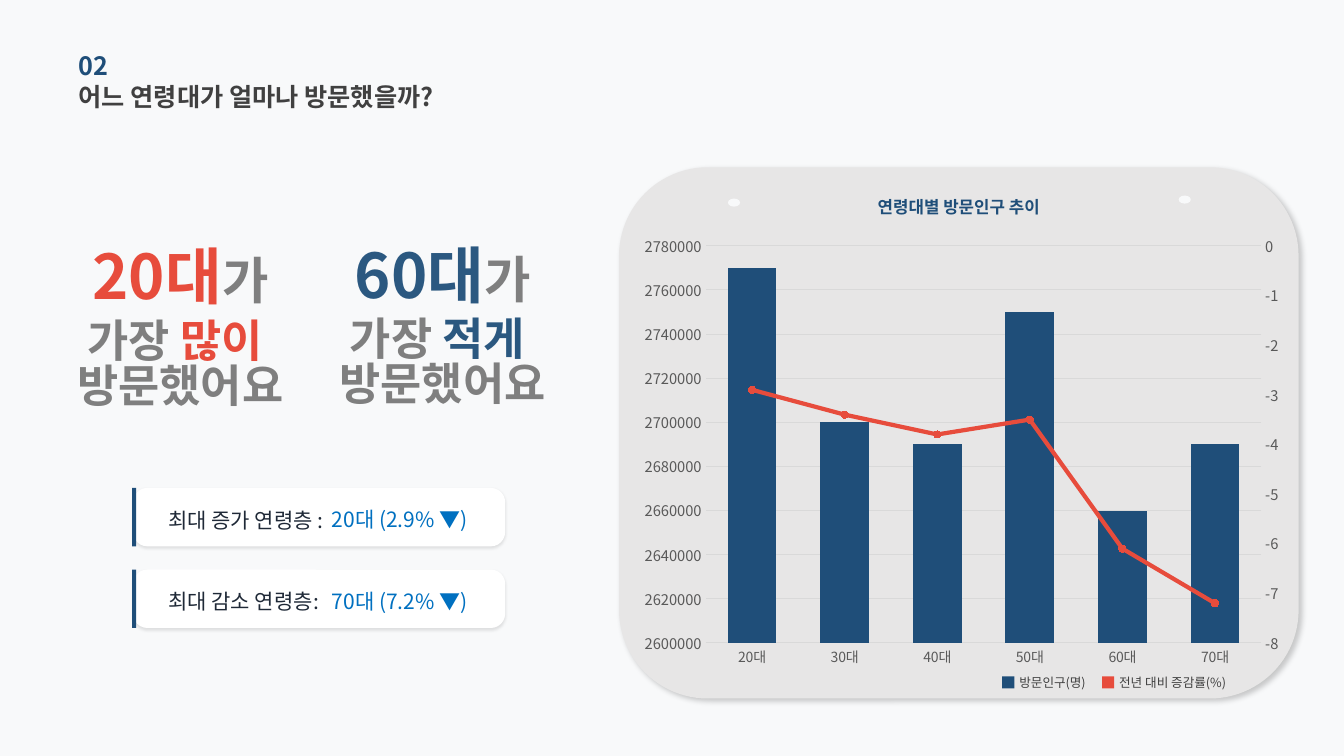
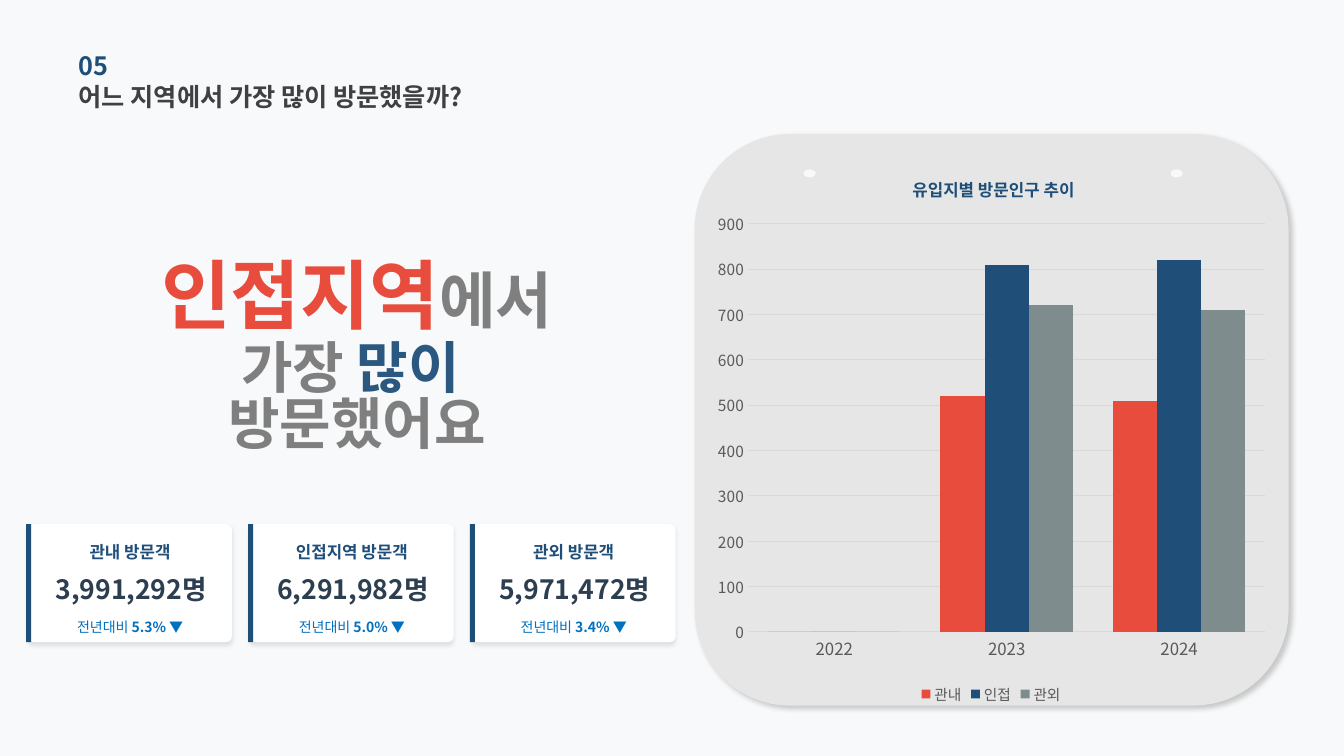
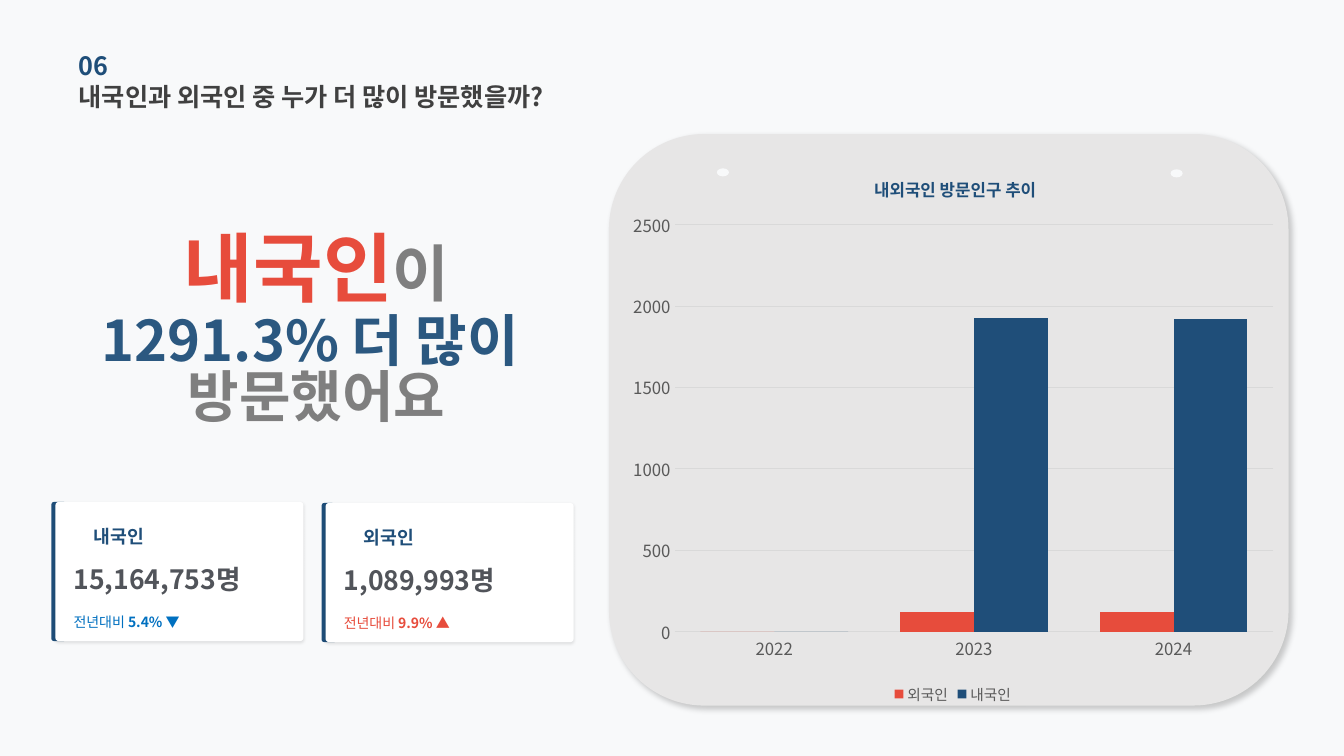
from pptx import Presentation
from pptx.chart.axis import ValueAxis
from pptx.chart.data import CategoryChartData as Data
from pptx.dml.color import RGBColor
from pptx.enum.chart import XL_CHART_TYPE as Kind, XL_LEGEND_POSITION as Spot
from pptx.enum.chart import XL_MARKER_STYLE as Mark, XL_TICK_MARK as Tick
from pptx.enum.shapes import MSO_SHAPE as Form
from pptx.enum.text import MSO_ANCHOR as Anchor, MSO_AUTO_SIZE as Auto, PP_ALIGN as Align
from pptx.oxml import parse_xml
from pptx.oxml.ns import nsdecls, qn
from pptx.util import Cm, Pt

# Shared style
FONT = "Noto Sans CJK KR"
PAPER, PANEL, WHITE = "F8F9FA", "E7E6E6", "FFFFFF"
NAVY, STEEL, RED, BLUE, SLATE = "1F4E79", "2B5880", "E74C3C", "0070C0", "7F8C8D"
DARK, GRAY, AXIS, GRID = "404040", "7F7F7F", "595959", "D9D9D9"
INK, NIGHT, ASH = "1F2937", "2C3E50", "51545A"
LEFT, MID = Align.LEFT, Align.CENTER
DEEP, SOFT, THIN = (20, 4, 3, 45), (10, 3, 2, 90), (10, 2, 1, 90)

# Content: boxes are left, top, width, height in inches
AGE = dict(
    no="02", title="어느 연령대가 얼마나 방문했을까?",
    panel=(6.14, 1.66, 6.74, 5.27), dots=[(7.22, 1.97), (11.69, 1.94)],
    heads=[
        (1.79, 2.5, 2.49, 3.22, [("20대", 44, RED), ("가", 36, GRAY)],
         [[("가장 ", 32, GRAY), ("많이 ", 32, RED)], [("방문했어요", 32, GRAY)]]),
        (4.39, 2.5, 2.48, 3.2, [("60대", 44, STEEL), ("가", 36, GRAY)],
         [[("가장", 32, GRAY), (" 적게 ", 32, STEEL)], [("방문했어요", 32, GRAY)]]),
    ],
    cards=[("최대 증가 연령층 :", "20대 (2.9% ▼)"),
           ("최대 감소 연령층:", "70대 (7.2% ▼)")],
    look=dict(at=(1.32, 4.84, 3.69, 0.58), step=(0, 0.81), round=0.245, shade=THIN,
              edge=(-0.01, 0.04), form=Form.RECTANGLE, align=LEFT,
              rows=[(0.35, 0.21, 1.6, 0.21, 15, INK, False),
                    (1.97, 0.19, 1.72, 0.24, 15, BLUE, False)]),
    chart=dict(at=(6.26, 2.25, 6.63, 4.46), plot=(7, 2.44, 5.51, 3.94), gap=90,
               sizes=(10, 10.5), scale=(2600000, 2780000, 20000),
               cats=["20대", "30대", "40대", "50대", "60대", "70대"],
               series=[("방문인구(명)", NAVY,
                        (2770000, 2700000, 2690000, 2750000, 2660000, 2690000)),
                       ("전년 대비 증감률(%)", RED,
                        (-2.9, -3.4, -3.8, -3.5, -6.1, -7.2))]),
)
AREA = dict(
    no="05", title="어느 지역에서 가장 많이 방문했을까?",
    panel=(6.89, 1.33, 5.89, 5.67), dots=[(7.97, 1.68), (11.61, 1.68)],
    heads=[(3.54, 5.5, 2.67, 3.55, [("인접지역", 54, RED), ("에서", 44, GRAY)],
            [[("가장", 40, GRAY), (" 많이 ", 40, STEEL)], [("방문했어요", 40, GRAY)]])],
    cards=[("관내 방문객", "3,991,292명", ("전년대비 ", "5.3% ▼", BLUE)),
           ("인접지역 방문객", "6,291,982명", ("전년대비 ", "5.0% ▼", BLUE)),
           ("관외 방문객", "5,971,472명", ("전년대비 ", "3.4% ▼", BLUE))],
    look=dict(at=(0.28, 5.2, 2.02, 1.17), step=(2.2, 0), round=0.048, shade=SOFT,
              edge=(-0.02, 0.05), form=Form.RECTANGLE, align=MID,
              rows=[(0, 0.16, 2.02, 0.22, 12, NAVY, True),
                    (0.01, 0.47, 2.02, 0.34, 19, NIGHT, True),
                    (0, 0.92, 2.02, 0.2, 10, BLUE, False)]),
    chart=dict(at=(7, 1.48, 5.66, 5.55), plot=(7.42, 2.22, 5.13, 4.05), gap=90,
               title="유입지별 방문인구 추이", sizes=(12, 11), scale=(0, 900, 100),
               cats=["2022", "2023", "2024"],
               series=[("관내", RED, (0, 520, 510)), ("인접", NAVY, (0, 810, 820)),
                       ("관외", SLATE, (0, 720, 710))]),
)
ORIGIN = dict(
    no="06", title="내국인과 외국인 중 누가 더 많이 방문했을까?",
    panel=(6.04, 1.33, 6.74, 5.67), dots=[(7.11, 1.67), (11.61, 1.68)],
    heads=[(3.14, 5.5, 2.4, 3.28, [("내국인", 54, RED), ("이", 44, GRAY)],
            [[("1291.3% 더 많이 ", 40, STEEL)], [("방문했어요", 40, GRAY)]])],
    cards=[("내국인", "15,164,753명", ("전년대비 ", "5.4% ▼", BLUE)),
           ("외국인", "1,089,993명", ("전년대비 ", "9.9% ▲", RED))],
    look=dict(at=(0.55, 4.98, 2.46, 1.38), step=(2.68, 0.01), round=0.023, shade=THIN,
              edge=(-0.04, 0.15), form=Form.ROUNDED_RECTANGLE, align=LEFT,
              rows=[(0.38, 0.2, 0.8, 0.28, 13, NAVY, True),
                    (0.18, 0.57, 2.2, 0.39, 19, ASH, True),
                    (0.18, 1.08, 2.2, 0.22, 10, BLUE, False)]),
    chart=dict(at=(6.15, 1.48, 6.6, 5.55), plot=(6.69, 2.23, 5.94, 4.04), gap=70,
               title="내외국인 방문인구 추이", sizes=(12, 12), scale=(0, 2500, 500),
               cats=["2022", "2023", "2024"],
               series=[("외국인", RED, (0, 120, 120)), ("내국인", NAVY, (0, 1930, 1920))]),
)


def hue(code):
    return RGBColor.from_string(code)


def inch(box):
    return [Cm(v * 2.54) for v in box]


def fill(part, code):
    part.fill.solid()
    part.fill.fore_color.rgb = hue(code)


def style(font, size, code, bold=False):
    font.name, font.size, font.bold = FONT, Pt(size), bold
    font.color.rgb = hue(code)


def east(root):
    """Use the same font for Korean letters."""
    for latin in list(root.iter(qn("a:latin"))):
        latin.addnext(parse_xml(f'<a:ea {nsdecls("a")} typeface="{FONT}"/>'))


def drop(root, tag):
    for old in root.findall(qn(tag)):
        root.remove(old)


# Text and shapes
def write(shape, lines, align=LEFT, space=None):
    frame = shape.text_frame
    frame.word_wrap, frame.auto_size = True, Auto.NONE
    frame.vertical_anchor = Anchor.MIDDLE
    frame.margin_left = frame.margin_top = frame.margin_right = frame.margin_bottom = 0
    for i, line in enumerate(lines):
        para = frame.add_paragraph() if i else frame.paragraphs[0]
        para.alignment = align
        if space:
            para.line_spacing = space
        for text, size, code, *bold in line:
            run = para.add_run()
            run.text = text
            style(run.font, size, code, bold[0] if bold else True)


def label(slide, box, lines, align=LEFT, space=None):
    write(slide.shapes.add_textbox(*inch(box)), lines, align, space)


def draw(slide, form, box, code, shade=None, curve=None):
    shape = slide.shapes.add_shape(form, *inch(box))
    fill(shape, code)
    shape.line.fill.background()
    shape.shadow.inherit = False
    if curve:
        shape.adjustments[0] = curve
    if shade:
        alpha, blur, dist, turn = shade
        shape.element.spPr.find(qn("a:effectLst")).append(parse_xml(
            f'<a:outerShdw {nsdecls("a")} blurRad="{Pt(blur)}" dist="{Pt(dist)}" '
            f'dir="{turn * 60000}" algn="t" rotWithShape="0"><a:srgbClr val="000000">'
            f'<a:alpha val="{alpha * 1000}"/></a:srgbClr></a:outerShdw>'))


def cards(slide, items, look):
    left, top, wide, high = look["at"]
    shift, thick = look["edge"]
    for i, item in enumerate(items):
        x, y = left + i * look["step"][0], top + i * look["step"][1]
        edge = (look["form"], (x + shift, y, thick, high), NAVY)
        behind = look["form"] == Form.ROUNDED_RECTANGLE
        if behind:
            draw(slide, *edge)
        draw(slide, Form.ROUNDED_RECTANGLE, (x, y, wide, high), WHITE,
             look["shade"], look["round"])
        if not behind:
            draw(slide, *edge)
        for text, (dx, dy, w, h, size, code, bold) in zip(item, look["rows"]):
            if isinstance(text, tuple):
                lead, rate, tint = text
                runs = [(lead, size, tint, False), (rate, size, tint, True)]
            else:
                runs = [(text, size, code, bold)]
            label(slide, (x + dx, y + dy, w, h), [runs], look["align"])


# Charts
def layout(x, y, w=None, h=None):
    inner = '<c:layoutTarget val="inner"/>' if w else ""
    size = f'<c:w val="{w:.4f}"/><c:h val="{h:.4f}"/>' if w else ""
    return parse_xml(
        f'<c:layout {nsdecls("c")}><c:manualLayout>{inner}<c:xMode val="edge"/>'
        f'<c:yMode val="edge"/><c:x val="{x:.4f}"/><c:y val="{y:.4f}"/>{size}'
        f'</c:manualLayout></c:layout>')


def ruler(axis, size, scale=None):
    axis.major_tick_mark = axis.minor_tick_mark = Tick.NONE
    style(axis.tick_labels.font, size, AXIS)
    if scale:
        axis.minimum_scale, axis.maximum_scale, axis.major_unit = scale
        axis.format.line.fill.background()
    else:
        axis.format.line.color.rgb = hue(GRID)
        axis.format.line.width = Pt(0.75)


def trend(chart, code):
    """Turn the second series into a line on a right axis."""
    area = chart.element.chart.plotArea
    bars = area.find(qn("c:barChart"))
    ser = bars.findall(qn("c:ser"))[1]
    drop(ser, "c:invertIfNegative")
    line = parse_xml(
        f'<c:lineChart {nsdecls("c")}><c:grouping val="standard"/><c:varyColors val="0"/>'
        '<c:marker val="1"/><c:axId val="501"/><c:axId val="502"/></c:lineChart>')
    line.insert(2, ser)
    bars.addnext(line)
    base = parse_xml(
        f'<c:catAx {nsdecls("c")}><c:axId val="501"/><c:scaling/><c:delete val="1"/>'
        '<c:axPos val="b"/><c:crossAx val="502"/></c:catAx>')
    right = parse_xml(
        f'<c:valAx {nsdecls("c")}><c:axId val="502"/><c:scaling/><c:delete val="0"/>'
        '<c:axPos val="r"/><c:numFmt formatCode="General" sourceLinked="0"/>'
        '<c:tickLblPos val="nextTo"/><c:crossAx val="501"/><c:crosses val="max"/>'
        '<c:crossBetween val="between"/></c:valAx>')
    area.find(qn("c:valAx")).addnext(base)
    base.addnext(right)
    ruler(ValueAxis(right), 10.5, (-8, 0, 1))
    rate = chart.plots[1].series[0]
    rate.smooth = False
    rate.format.line.color.rgb = hue(code)
    rate.format.line.width = Pt(3)
    rate.marker.style, rate.marker.size = Mark.CIRCLE, 5
    fill(rate.marker.format, code)
    rate.marker.format.line.color.rgb = hue(code)


def graph(slide, info):
    data = Data()
    data.categories = info["cats"]
    for name, _, vals in info["series"]:
        data.add_series(name, vals)
    box = info["at"]
    chart = slide.shapes.add_chart(Kind.COLUMN_CLUSTERED, *inch(box), data).chart
    style(chart.font, 10, AXIS)
    bars = chart.plots[0]
    bars.vary_by_categories = False
    bars.gap_width = info["gap"]
    for ser, (_, code, _) in zip(bars.series, info["series"]):
        fill(ser.format, code)
    ruler(chart.category_axis, info["sizes"][0])
    ruler(chart.value_axis, info["sizes"][1], info["scale"])
    grid = chart.value_axis.major_gridlines.format.line
    grid.color.rgb, grid.width = hue(GRID), Pt(0.75)

    area = chart.element.chart.plotArea
    drop(area, "c:layout")
    x, y, w, h = info["plot"]
    area.insert(0, layout((x - box[0]) / box[2], (y - box[1]) / box[3],
                          w / box[2], h / box[3]))

    if "title" in info:
        chart.has_title = True
        frame = chart.chart_title.text_frame
        frame.text = info["title"]
        style(frame.paragraphs[0].runs[0].font, 12, NAVY, True)
        head = chart.element.chart.find(qn("c:title"))
        drop(head, "c:layout")
        head.find(qn("c:tx")).addnext(layout(0.5 - 0.81 / box[2], 0.04))
        chart.has_legend = True
        chart.legend.position = Spot.BOTTOM
        chart.legend.include_in_layout = False
        style(chart.legend.font, 10.5, AXIS)
    else:
        chart.has_title = chart.has_legend = False
        bars.overlap = -27
        trend(chart, info["series"][1][1])
    east(chart.element)


def keys(slide, series):
    """Legend and heading of the combined chart."""
    for (name, code, _), x, wide in zip(series, (9.94, 10.93), (0.8, 1.3)):
        draw(slide, Form.RECTANGLE, (x, 6.71, 0.12, 0.12), code)
        label(slide, (x + 0.17, 6.68, wide, 0.18), [[(name, 9, DARK, False)]])
    label(slide, (8.03, 1.9, 2.96, 0.3), [[("연령대별 방문인구 추이", 12, NAVY)]], MID)


def build(deck, page):
    slide = deck.slides.add_slide(deck.slide_layouts[5])
    title = slide.shapes.title
    title.left, title.top, title.width, title.height = inch((0.78, 0.75, 5.28, 0.41))
    write(title, [[(page["title"], 18, DARK)]])
    label(slide, (0.78, 0.44, 4.52, 0.41), [[(page["no"], 18, NAVY)]])
    draw(slide, Form.ROUNDED_RECTANGLE, page["panel"], PANEL, DEEP)
    for x, y in page["dots"]:
        draw(slide, Form.OVAL, (x, y, 0.12, 0.08), PAPER)
    for mid, wide, top, low, first, rest in page["heads"]:
        left = mid - wide / 2
        label(slide, (left, top, wide, 0.48), [first], MID)
        label(slide, (left, low, wide, 0.84), rest, MID, 0.83)
    cards(slide, page["cards"], page["look"])
    graph(slide, page["chart"])
    if "title" not in page["chart"]:
        keys(slide, page["chart"]["series"])
    east(slide.element)


def main():
    deck = Presentation()
    deck.slide_width, deck.slide_height = inch((13.33, 7.5))
    fill(deck.slide_master.background, PAPER)
    for page in (AGE, AREA, ORIGIN):
        build(deck, page)
    deck.save("out.pptx")


if __name__ == "__main__":
    main()
